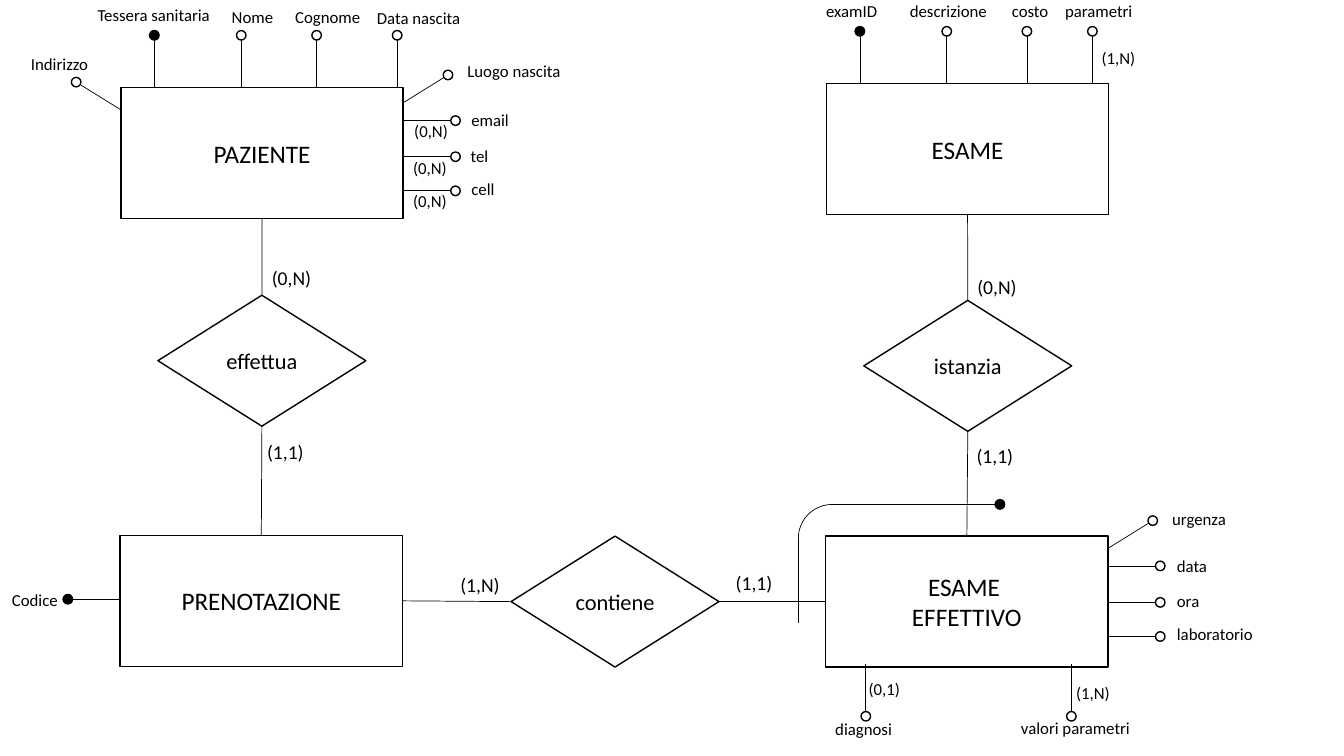
import math

import pptx
import pptx.dml.color
import pptx.enum.shapes
import pptx.enum.text
import pptx.oxml.ns
import pptx.util
from lxml import etree

Cm = pptx.util.Cm
Preset = pptx.enum.shapes.MSO_SHAPE

THEME = {
    "font": "Calibri",
    "ink": pptx.dml.color.RGBColor(0x00, 0x00, 0x00),
    "paper": pptx.dml.color.RGBColor(0xFF, 0xFF, 0xFF),
    "outline": 1, "thin": 0.5,
    "entity": 18, "relation": 16, "cardinality": 14, "label": 12,
}

# All lengths are centimetres.
ENTITY_SIZE, RELATION_SIZE = (7.11, 3.3), (5.24, 3.3)
DOT = 0.24
STEM = 1.32
SLANT_X, SLANT_Y = 1.13, 0.7
BOTTOM_INSET = 0.08
TOP, LEFT, BOTTOM, RIGHT = range(4)  # also the connection sites

ENTITIES = {
    "PAZIENTE": (3.05, 2.21),
    "PRENOTAZIONE": (3.03, 13.49),
    "ESAME": (20.83, 2.11),
    "ESAME \nEFFETTIVO": (20.81, 13.51),
}
RELATIONS = {
    "effettua": (3.98, 7.44),
    "contiene": (12.88, 13.51),
    "istanzia": (21.77, 7.57),
}
# (entity, its side, relation, its side, cardinality, left, top)
LINKS = [
    ("PAZIENTE", BOTTOM, "effettua", TOP, "(0,N)", 6.6, 6.58),
    ("PRENOTAZIONE", TOP, "effettua", BOTTOM, "(1,1)", 6.48, 10.97),
    ("PRENOTAZIONE", RIGHT, "contiene", LEFT, "(1,N)", 11.35, 14.3),
    ("ESAME \nEFFETTIVO", LEFT, "contiene", RIGHT, "(1,1)", 18.29, 14.27),
    ("ESAME", BOTTOM, "istanzia", TOP, "(0,N)", 24.38, 6.81),
    ("ESAME \nEFFETTIVO", TOP, "istanzia", BOTTOM, "(1,1)", 24.36, 11.05),
]
# (name, side, dot position along the side, label left, top, width)
ATTRIBUTES = {
    "PAZIENTE": [
        ("Tessera sanitaria", TOP, 3.89, 2.21, 0, 3.38),
        ("Nome", TOP, 6.08, 5.59, 0.05, 1.57),
        ("Cognome", TOP, 7.98, 7.19, 0.05, 2.21),
        ("Data nascita", TOP, 10.01, 9.25, 0.08, 4.06),
        ("Luogo nascita", RIGHT, 1.89, 11.53, 1.4, 3.05),
        ("email", RIGHT, 3.04, 11.63, 2.64, 1.68),
        ("tel", RIGHT, 3.95, 11.61, 3.56, 1.68),
        ("cell", RIGHT, 4.81, 11.63, 4.37, 1.68),
        ("Indirizzo", LEFT, 2.07, 0.53, 1.24, 1.98),
    ],
    "PRENOTAZIONE": [("Codice", LEFT, 15.1, 0.05, 14.73, 1.68)],
    "ESAME": [
        ("examID", TOP, 21.67, 20.57, -0.1, 1.85),
        ("descrizione", TOP, 23.86, 22.68, -0.1, 2.51),
        ("costo", TOP, 25.88, 25.25, -0.1, 1.75),
        ("parametri", TOP, 27.53, 26.59, -0.1, 2.51),
    ],
    "ESAME \nEFFETTIVO": [
        ("urgenza", RIGHT, 13.12, 29.29, 12.7, 4.06),
        ("data", RIGHT, 14.26, 29.41, 13.87, 1.68),
        ("ora", RIGHT, 15.18, 29.41, 14.76, 1.68),
        ("laboratorio", RIGHT, 16.04, 29.41, 15.6, 2.49),
        ("diagnosi", BOTTOM, 21.82, 20.8, 17.98, 2.06),
        ("valori parametri", BOTTOM, 27, 25.48, 17.96, 3.45),
    ],
}
KEYS = {"Tessera sanitaria", "Codice", "examID"}
SLANTED = {"Luogo nascita", "Indirizzo", "urgenza"}
ATTRIBUTE_CARDINALITIES = [
    ("(0,N)", 10.19, 2.92), ("(0,N)", 10.16, 3.84), ("(0,N)", 10.16, 4.67),
    ("(1,N)", 27.51, 1.09), ("(0,1)", 21.64, 16.97), ("(1,N)", 26.87, 17.09),
]
CARDINALITY_WIDTH = 1.5
# External identifier of ESAME EFFETTIVO: a line that bends once
IDENTIFIER = {"left": 20.12, "top": 12.71, "bottom": 15.7, "dot": 25.2, "radius": 0.85}


def write_text(shape, text, *, size, centred=False):
    """Put text in a shape, one paragraph per line."""
    frame = shape.text_frame
    frame.word_wrap = True
    frame.text = text
    if centred:
        frame.vertical_anchor = pptx.enum.text.MSO_ANCHOR.MIDDLE
    alignment = pptx.enum.text.PP_ALIGN
    for paragraph in frame.paragraphs:
        paragraph.alignment = alignment.CENTER if centred else alignment.LEFT
        font = paragraph.runs[0].font
        font.name, font.size = THEME["font"], pptx.util.Pt(size)
        font.color.rgb = THEME["ink"]


def add_label(slide, text, left, top, width, size):
    """Add a free text label."""
    height = 0.25 + size * 0.0425
    box = slide.shapes.add_textbox(Cm(left), Cm(top), Cm(width), Cm(height))
    write_text(box, text, size=size)


def style_line(line, width):
    """Give a line the ink colour and a width in points."""
    line.color.rgb = THEME["ink"]
    line.width = pptx.util.Pt(width)


def add_outlined(slide, preset, left, top, width, height, fill="paper"):
    """Add a filled preset shape with the standard outline."""
    shape = slide.shapes.add_shape(preset, Cm(left), Cm(top), Cm(width), Cm(height))
    shape.shadow.inherit = False
    shape.fill.solid()
    shape.fill.fore_color.rgb = THEME[fill]
    style_line(shape.line, THEME["outline"])
    return shape


def add_line(slide, start=(0, 0), end=(0, 0)):
    """Add a thin straight connector."""
    connector = slide.shapes.add_connector(
        pptx.enum.shapes.MSO_CONNECTOR.STRAIGHT, *map(Cm, (*start, *end)))
    style_line(connector.line, THEME["thin"])
    etree.SubElement(connector._element.spPr, pptx.oxml.ns.qn("a:effectLst"))
    return connector


def add_pin(slide, centre, end, key):
    """Add an attribute dot with a line from its rim to the end point."""
    x, y = centre
    reach = DOT / 2 / math.dist(centre, end)
    rim = (x + (end[0] - x) * reach, y + (end[1] - y) * reach)
    add_line(slide, rim, end)
    add_outlined(slide, Preset.OVAL, x - DOT / 2, y - DOT / 2, DOT, DOT,
                 "ink" if key else "paper")


def pin_points(entity, side, position, slanted):
    """Return the dot centre and the point where its line meets the entity."""
    left, top = ENTITIES[entity]
    width, height = ENTITY_SIZE
    if side in (TOP, BOTTOM):
        edge = top if side == TOP else top + height - BOTTOM_INSET
        outward = -STEM if side == TOP else STEM
        return (position, edge + outward), (position, edge)
    edge = left if side == LEFT else left + width
    length, drop = (SLANT_X, SLANT_Y) if slanted else (STEM, 0)
    outward = -length if side == LEFT else length
    return (edge + outward, position), (edge, position + drop)


def add_identifier(slide, left, top, bottom, dot, radius):
    """Draw the bent line and dot of the external identifier."""
    add_line(slide, (left, bottom), (left, top + radius))
    bend = slide.shapes.add_shape(
        Preset.ARC, Cm(left), Cm(top), Cm(2 * radius), Cm(2 * radius))
    bend.rotation = 270
    bend.shadow.inherit = False
    bend.fill.background()
    style_line(bend.line, THEME["thin"])
    add_pin(slide, (dot, top), (left + radius, top), key=True)


presentation = pptx.Presentation()
presentation.slide_width, presentation.slide_height = Cm(33.87), Cm(19.05)
slide = presentation.slides.add_slide(presentation.slide_layouts[6])

nodes = {}
for places, preset, size, role in (
        (ENTITIES, Preset.RECTANGLE, ENTITY_SIZE, "entity"),
        (RELATIONS, Preset.DIAMOND, RELATION_SIZE, "relation")):
    for name, place in places.items():
        nodes[name] = add_outlined(slide, preset, *place, *size)
        write_text(nodes[name], name, size=THEME[role], centred=True)

for entity, entity_side, relation, relation_side, cardinality, left, top in LINKS:
    link = add_line(slide)
    link.begin_connect(nodes[entity], entity_side)
    link.end_connect(nodes[relation], relation_side)
    add_label(slide, cardinality, left, top, CARDINALITY_WIDTH, THEME["cardinality"])

for entity, attributes in ATTRIBUTES.items():
    for name, side, position, left, top, width in attributes:
        centre, end = pin_points(entity, side, position, name in SLANTED)
        add_pin(slide, centre, end, name in KEYS)
        add_label(slide, name, left, top, width, THEME["label"])

for cardinality, left, top in ATTRIBUTE_CARDINALITIES:
    add_label(slide, cardinality, left, top, CARDINALITY_WIDTH, THEME["label"])

add_identifier(slide, **IDENTIFIER)

presentation.save("out.pptx")
